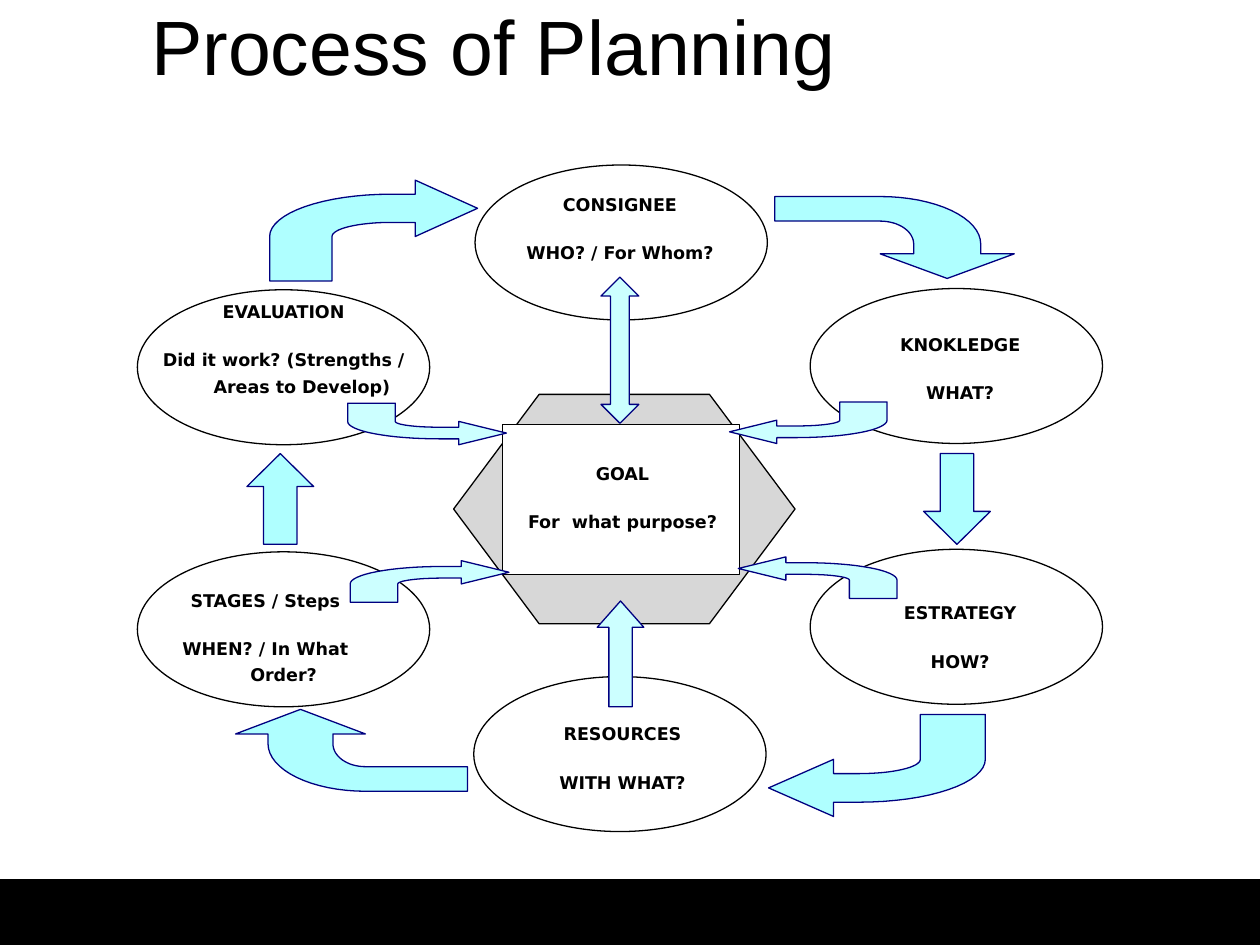
from math import cos, pi, sin
from pptx import Presentation
from pptx.dml.color import RGBColor
from pptx.enum.shapes import MSO_SHAPE
from pptx.enum.text import MSO_ANCHOR, PP_ALIGN
from pptx.util import Inches, Pt

COLORS = {"black": "000000", "white": "FFFFFF", "gray": "D7D7D7",
          "navy": "000080", "aqua": "AFFFFF", "pale": "CCFFFF"}

TITLE = "Process of Planning"
OVAL_SIZE = (2.32, 1.23)

# oval corner, text box, lines
STEPS = [
    ((3.77, 1.31), (3.92, 1.45, 2, 0.8), ("CONSIGNEE", "WHO? / For Whom?")),
    ((6.43, 4.36), (6.62, 4.69, 2, 0.8), ("ESTRATEGY", "HOW?")),
    ((3.76, 5.37), (3.94, 5.65, 2, 0.82), ("RESOURCES", "WITH WHAT?")),
    ((1.09, 4.38), (1.1, 4.59, 2.01, 0.59), ("STAGES / Steps", "WHEN? / In What Order?")),
    ((6.43, 2.29), (6.62, 2.56, 2, 0.81), ("KNOKLEDGE", "WHAT?")),
    ((1.09, 2.3), (1.14, 2.3, 2.22, 1.18),
     ("EVALUATION", "Did it work? (Strengths / Areas to Develop)")),
]
GOAL = ((3.94, 3.58, 2, 0.81), ("GOAL", "For  what purpose?"))

# corner beside the bend, opposite corner, whether the head points up or down
CYCLE_BENDS = [
    ((2.14, 1.43), (3.79, 2.23), False),
    ((7.82, 6.48), (6.1, 5.67), False),
    ((8.05, 1.56), (6.15, 2.21), True),
    ((1.87, 6.28), (3.71, 5.63), True),
]
GOAL_BENDS = [
    ((2.78, 4.45), (4.04, 4.78), False),
    ((7.04, 3.52), (5.79, 3.19), False),
    ((7.12, 4.42), (5.86, 4.75), False),
    ((2.76, 3.53), (4.02, 3.2), False),
]
# box, rotation
CYCLE_ARROWS = [((1.96, 3.6, 0.53, 0.72), 0), ((7.33, 3.6, 0.53, 0.72), 180)]


def color(name):
    return RGBColor.from_string(COLORS[name])


def paint(sp, fill, line):
    sp.shadow.inherit = False
    sp.fill.solid()
    sp.fill.fore_color.rgb = color(fill)
    sp.line.color.rgb = color(line)
    sp.line.width = Pt(0.75)


def add_shape(kind, box, fill, line="black", adj=(), rotation=0):
    sp = s.shapes.add_shape(kind, *map(Inches, box))
    for i, value in enumerate(adj):
        sp.adjustments[i] = value
    sp.rotation = rotation
    paint(sp, fill, line)


def set_font(p, name, size, bold=False):
    p.alignment = PP_ALIGN.CENTER
    p.font.name = name
    p.font.size = Pt(size)
    p.font.bold = bold
    p.font.color.rgb = color("black")


def add_label(box, lines):
    tf = s.shapes.add_textbox(*map(Inches, box)).text_frame
    tf.word_wrap = True
    for i, line in enumerate(lines):
        p = tf.paragraphs[0] if i == 0 else tf.add_paragraph()
        p.text = line
        pPr = p._p.get_or_add_pPr()
        pPr.set("marL", str(Inches(0.29)))
        pPr.set("indent", str(-Inches(0.29)))
        p.line_spacing = 1.25
        p.space_before = Pt(2.5 if i else 0)
        p.space_after = Pt(10)
        set_font(p, "DejaVu Sans", 10, True)


def arc(rx, ry, steps=16):
    angles = [pi / 2 * i / steps for i in range(steps + 1)]
    return [(0.58 - rx * sin(a), 0.56 - ry * cos(a)) for a in angles]


BEND = ([(1, 0.28), (0.7, 0), (0.7, 0.14)] + arc(0.58, 0.42)
        + [(0, 1), (0.3, 1)] + arc(0.28, 0.14)[::-1]
        + [(0.7, 0.42), (0.7, 0.56)])


def add_bend(start, end, upright, fill):
    (x, y), (x2, y2) = start, end
    points = []
    for along, across in BEND:
        fx, fy = (across, along) if upright else (along, across)
        points.append((Inches(x + fx * (x2 - x)), Inches(y + fy * (y2 - y))))
    fb = s.shapes.build_freeform(*points[0])
    fb.add_line_segments(points[1:], close=True)
    paint(fb.convert_to_shape(), fill, "navy")


prs = Presentation()
prs.slide_width, prs.slide_height = Inches(10), Inches(7.5)
s = prs.slides.add_slide(prs.slide_layouts[6])

add_shape(MSO_SHAPE.RECTANGLE, (0, 6.98, 10, 0.52), "black")
tf = s.shapes.add_textbox(*map(Inches, (-0.33, -0.12, 8.5, 0.95))).text_frame
tf.word_wrap = True
tf.vertical_anchor = MSO_ANCHOR.MIDDLE
tf.text = TITLE
set_font(tf.paragraphs[0], "Arial", 44)

for bend in CYCLE_BENDS:
    add_bend(*bend, "aqua")
for box, rotation in CYCLE_ARROWS:
    add_shape(MSO_SHAPE.UP_ARROW, box, "aqua", "navy", (0.5, 0.494), rotation)

for corner, box, lines in STEPS:
    add_shape(MSO_SHAPE.OVAL, corner + OVAL_SIZE, "white")

add_shape(MSO_SHAPE.HEXAGON, (3.6, 3.13, 2.71, 1.82), "gray", adj=(0.373, 1.155))
add_shape(MSO_SHAPE.RECTANGLE, (3.99, 3.37, 1.88, 1.19), "white")
for bend in GOAL_BENDS:
    add_bend(*bend, "pale")
add_shape(MSO_SHAPE.UP_ARROW, (4.74, 4.77, 0.37, 0.84), "pale", "navy", (0.5, 0.565))
add_shape(MSO_SHAPE.UP_DOWN_ARROW, (4.77, 2.2, 0.3, 1.16), "pale", "navy", (0.76, 0.5))

for corner, box, lines in STEPS:
    add_label(box, lines)
add_label(*GOAL)

prs.save("out.pptx")
